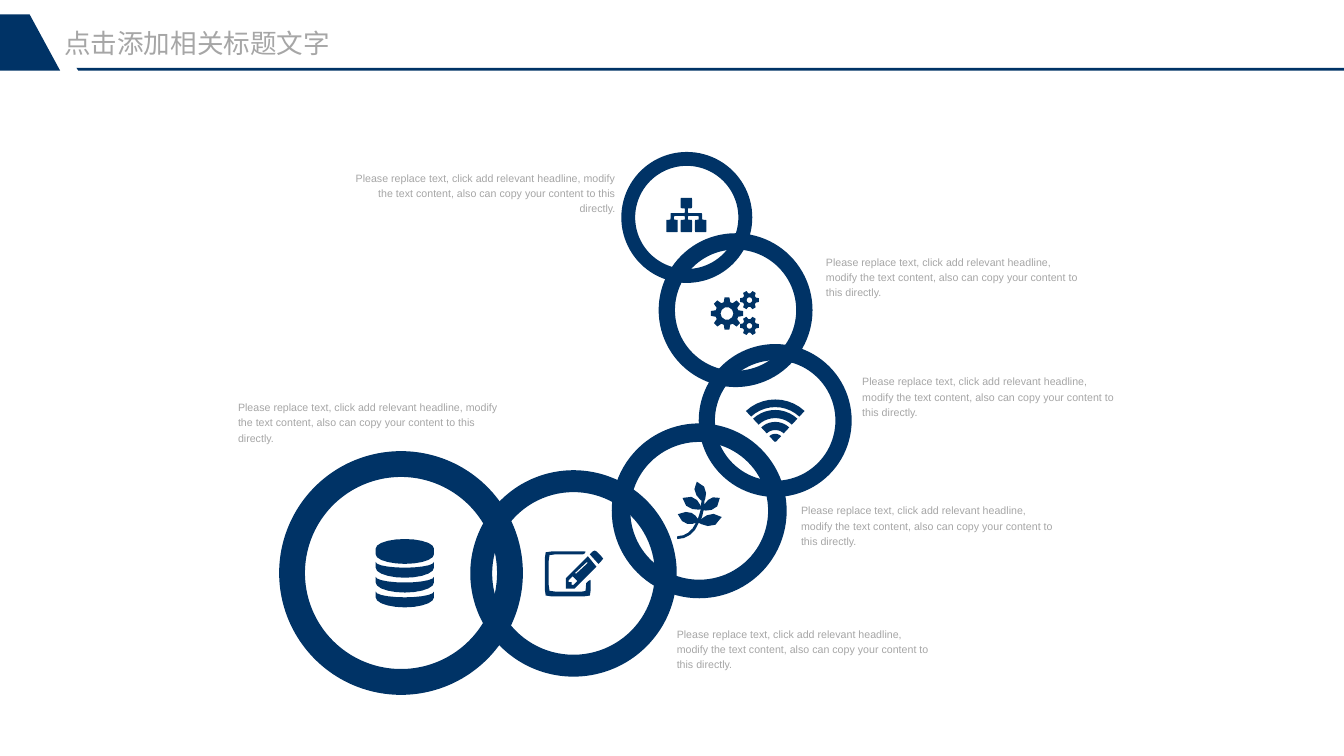
from math import cos, dist, radians, sin

from pptx import Presentation
from pptx.dml.color import RGBColor
from pptx.enum.shapes import MSO_SHAPE
from pptx.enum.text import MSO_ANCHOR, MSO_AUTO_SIZE, PP_ALIGN
from pptx.util import Inches, Pt

DONUT = MSO_SHAPE.DONUT
LEFT, RIGHT = PP_ALIGN.LEFT, PP_ALIGN.RIGHT
TOP, MIDDLE = MSO_ANCHOR.TOP, MSO_ANCHOR.MIDDLE
NO_AUTOFIT = MSO_AUTO_SIZE.NONE
NAVY = RGBColor(0x00, 0x33, 0x66)
GREY = RGBColor(0xA6, 0xA6, 0xA6)
FONT = "Arial"
UNIT = Inches(0.01)
COLS, ROWS = 1406, 791
FINE = 100
TITLE = "点击添加相关标题文字"
BODY = ("Please replace text, click add relevant headline, modify the text "
        "content, also can copy your content to this directly.")

SPRIG = [
    (19, 54, 10, 60, 1, 60), (0, 60, 0, 57, 1, 57),
    (9, 57, 16, 52, 20, 43), (16, 45, 6, 47, 1, 34), (14, 28, 20, 35, 22, 39),
    (23, 36, 24, 33, 25, 29), (25, 29, 8, 32, 6, 17), (21, 11, 25, 26, 25, 26),
    (25, 25, 26, 20, 26, 20), (26, 20, 13, 11, 21, 0), (36, 5, 29, 20, 29, 20),
    (29, 20, 29, 23, 29, 24), (29, 24, 34, 13, 45, 17), (45, 33, 28, 30, 28, 30),
    (27, 33, 27, 37, 25, 40), (25, 40, 35, 28, 47, 37), (40, 54, 23, 43, 23, 43)]


def arc(cx, cy, rx, ry, start, end, steps=10):
    """Return points along an elliptical arc, angles in degrees."""
    angles = [radians(start + (end - start) * i / steps) for i in range(steps + 1)]
    return [(cx + rx * cos(a), cy + ry * sin(a)) for a in angles]


def bezier(p0, p1, p2, p3, steps=4):
    """Return points along a cubic curve after its start."""
    ts = [i / steps for i in range(1, steps + 1)]
    return [tuple((1 - t) ** 3 * a + 3 * t * (1 - t) ** 2 * b
                  + 3 * t * t * (1 - t) * c + t ** 3 * d
                  for a, b, c, d in zip(p0, p1, p2, p3)) for t in ts]


def rounded(points, radius):
    """Return a polygon with its corners rounded."""
    result = []
    for i, corner in enumerate(points):
        before, after = points[i - 1], points[(i + 1) % len(points)]
        cut = min(radius, dist(corner, before) / 2, dist(corner, after) / 2)
        ends = [tuple(c + (n - c) * cut / dist(corner, near)
                      for c, n in zip(corner, near)) for near in (before, after)]
        result += [ends[0]] + bezier(ends[0], corner, corner, ends[1], 2)
    return result


def gear(cx, cy, radius, teeth, hole):
    """Return the toothed outline and the hole of a gear."""
    pitch = 360 / teeth
    profile = [(0.72, -0.36), (1, -0.19), (1, 0.19), (0.72, 0.36)]
    rim = [arc(cx, cy, radius * share, radius * share, angle, angle, 1)[0]
           for tooth in range(teeth) for share, turn in profile
           for angle in [(tooth + turn) * pitch]]
    return [rim, arc(cx, cy, hole, hole, 0, 360)]


def sitemap_icon():
    """Return a tree of one box above three."""
    half = [(6, 0), (6, 11), (1.5, 11), (1.5, 16), (16.5, 16), (16.5, 23),
            (21, 23), (21, 36), (9, 36), (9, 23), (13, 23), (13, 19),
            (1.5, 19), (1.5, 23), (6, 23), (6, 36)]
    return [rounded([(21 + x, y) for x, y in half]
                    + [(21 - x, y) for x, y in reversed(half)], 1.7)]


def gears_icon():
    """Return one large and two small gears."""
    return (gear(16.5, 23, 17, 8, 6.7) + gear(40, 9, 10, 6, 3)
            + gear(40, 36, 10, 6, 3))


def wifi_icon():
    """Return four concentric signal bands."""
    bands = [(45, 37), (34, 25.5), (21.5, 13), (9, 1)]
    return [arc(31, 45, outer, outer, -133, -47)
            + arc(31, 45, inner, inner, -47, -133) for outer, inner in bands]


def sprig_icon():
    """Return a stem with leaves."""
    points = [(23, 43)]
    for x1, y1, x2, y2, x3, y3 in SPRIG:
        points += bezier(points[-1], (x1, y1), (x2, y2), (x3, y3))
    return [points]


def pencil_icon():
    """Return a writing frame with a pencil."""
    frame = [(48, 48), (0, 48), (0, 1), (43, 1), (41, 4), (4, 4), (4, 43),
             (43, 43), (43, 34), (48, 30)]
    body = [(54, 17), (31, 40), (22, 40), (22, 29), (45, 6)]
    tip = [(34, 32), (29, 27), (25, 31), (25, 33), (28, 33), (28, 36), (30, 36)]
    slot = [(44, 12), (31.5, 23.5), (32.5, 24.5), (45, 13)]
    eraser = [(47, 4), (50, 1), (52, 0), (54, 1), (59, 6), (61, 8.5), (59, 11),
              (56, 14)]
    return [rounded(frame, 7), body, tip, slot, eraser]


def database_icon():
    """Return a stack of disks."""
    cap = arc(30.5, 10, 30.5, 10, 180, 360) + arc(30.5, 16, 30.5, 10, 0, 180)
    bands = [arc(30.5, y, 30.5, 6, 180, 0) + arc(30.5, y + 6, 30.5, 10.5, 0, 180)
             for y in (24, 39.5, 55)]
    return [cap] + bands


def paint(sp):
    """Fill a shape navy, without line or shadow."""
    sp.shadow.inherit = False
    sp.fill.solid()
    sp.fill.fore_color.rgb = NAVY
    sp.line.fill.background()


def draw_outlines(slide, outlines, left, top):
    """Draw closed outlines as one shape from a grid position."""
    scaled = [[(x * FINE, y * FINE) for x, y in points] for points in outlines]
    builder = slide.shapes.build_freeform(*scaled[0][0], scale=UNIT / FINE)
    for i, points in enumerate(scaled):
        if i:
            builder.move_to(*points[0])
        builder.add_line_segments(points[1:], close=True)
    paint(builder.convert_to_shape(left * UNIT, top * UNIT))


def set_text(sp, text, size, align, anchor, spacing):
    """Fill a text frame with one grey paragraph."""
    tf = sp.text_frame
    tf.margin_left = tf.margin_right = tf.margin_top = tf.margin_bottom = 0
    tf.word_wrap, tf.auto_size, tf.vertical_anchor = True, NO_AUTOFIT, anchor
    p = tf.paragraphs[0]
    p.text, p.alignment, p.line_spacing = text, align, spacing
    p.font.size, p.font.name, p.font.color.rgb = Pt(size), FONT, GREY


def add_header(slide, left, top, width, height):
    """Place the corner flag, the rule and the title in a band."""
    flag = [(0, 0), (31, 0), (63, height), (0, height)]
    rule = [(80, height - 3), (width, height - 3), (width, height), (82, height)]
    for outline in (flag, rule):
        draw_outlines(slide, [outline], left, top)
    title = slide.shapes.title
    title.left, title.top = (left + 67) * UNIT, (top + 13) * UNIT
    title.width, title.height = 335 * UNIT, 34 * UNIT
    set_text(title, TITLE, 20, LEFT, MIDDLE, 1.0)


def add_link(slide, left, top, size, icon, shift):
    """Place a ring in a square box with an icon at an offset inside."""
    ring = slide.shapes.add_shape(DONUT, left * UNIT, top * UNIT,
                                  size * UNIT, size * UNIT)
    ring.adjustments[0] = 0.106
    paint(ring)
    draw_outlines(slide, icon(), left + shift[0], top + shift[1])


def add_caption(slide, left, top, width, align=LEFT):
    """Place a caption of three lines."""
    sp = slide.shapes.add_textbox(left * UNIT, top * UNIT, width * UNIT, 47 * UNIT)
    set_text(sp, BODY, 8, align, TOP, 1.2)


def add_chain(slide, left, top):
    """Place the linked rings and their captions from a corner."""
    links = [(401, 0, 137, sitemap_icon, (47, 48)),
             (440, 85, 161, gears_icon, (55, 61)),
             (482, 201, 160, wifi_icon, (49, 58)),
             (391, 284, 183, sprig_icon, (68, 61)),
             (243, 333, 216, pencil_icon, (78, 84)),
             (43, 313, 255, database_icon, (101, 92))]
    captions = [(122, 18, 273, RIGHT), (615, 106, 271), (653, 231, 271),
                (589, 366, 271), (459, 495, 271), (0, 258, 273)]
    for x, y, *rest in links:
        add_link(slide, left + x, top + y, *rest)
    for x, y, *rest in captions:
        add_caption(slide, left + x, top + y, *rest)


prs = Presentation()
prs.slide_width, prs.slide_height = COLS * UNIT, ROWS * UNIT
s = prs.slides.add_slide(prs.slide_layouts[5])
add_header(s, 0, 15, COLS, 59)
add_chain(s, 249, 159)
prs.save("out.pptx")
